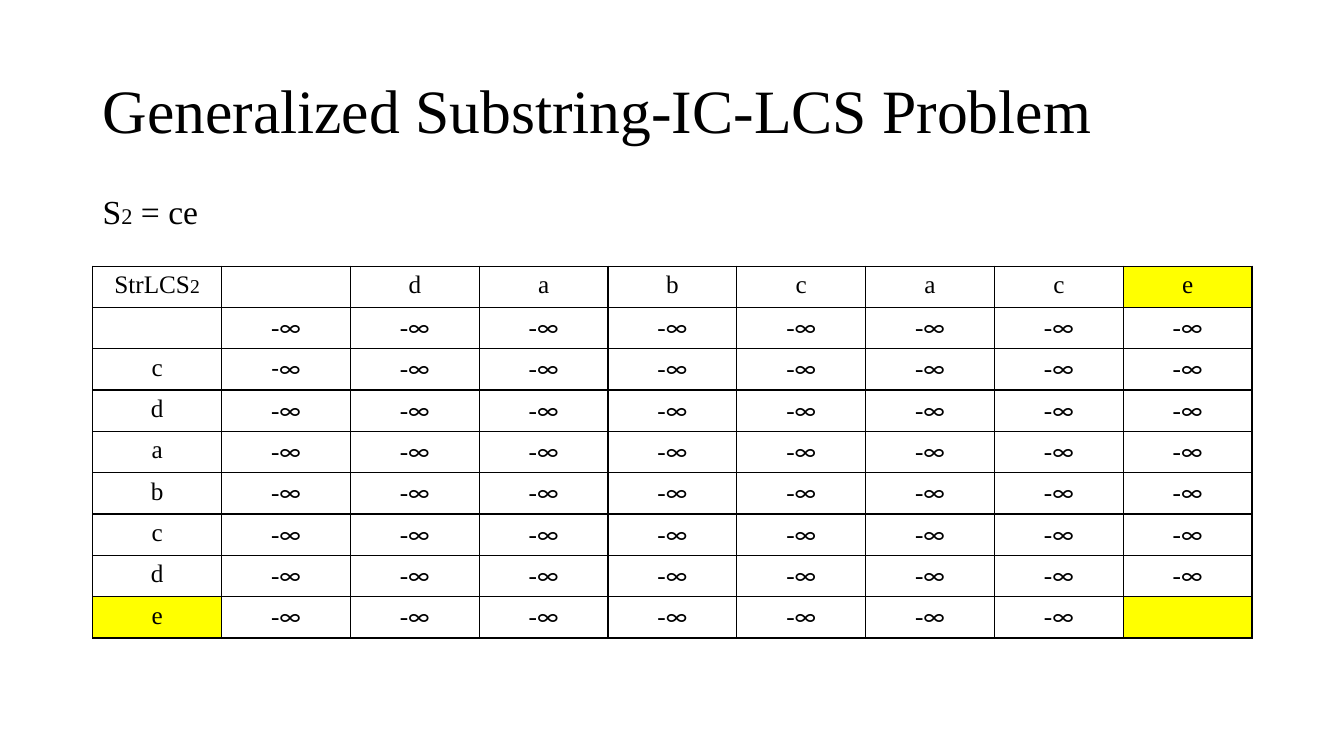
from dataclasses import dataclass

from lxml.etree import SubElement
from pptx import Presentation
from pptx.dml.color import RGBColor
from pptx.enum.text import MSO_ANCHOR, PP_ALIGN
from pptx.oxml.ns import qn
from pptx.util import Inches, Pt


@dataclass(frozen=True)
class Theme:
    face: str = "Times New Roman"
    math: str = "Calibri"
    ink: str = "000000"
    paper: str = "FFFFFF"
    mark: str = "FFFF00"
    title: int = 44
    lead: int = 24
    lead_sub: int = 16
    cell: int = 18
    cell_sub: int = 14
    rule: int = 1


THEME = Theme()
WIDE, HIGH = 13.33, 7.5
LEFT, SPAN = 0.92, 11.5
ROW = 0.41
ACROSS = "dabcace"
DOWN = "cdabcde"
MINUS, INF = "-", "∞"


def write(para, parts, size):
    """Fill a paragraph from (text, size, face) parts; None keeps the default."""
    para.font.size = Pt(size)
    para.font.name = THEME.face
    para.font.color.rgb = RGBColor.from_string(THEME.ink)
    for text, small, face in parts:
        run = para.add_run()
        run.text = text
        if small:
            run.font.size = Pt(small)
        if face:
            run.font.name = face


def add_text(slide, box, parts, size, anchor=MSO_ANCHOR.TOP):
    shape = slide.shapes.add_textbox(*(Inches(n) for n in box))
    frame = shape.text_frame
    frame.word_wrap = True
    frame.vertical_anchor = anchor
    para = frame.paragraphs[0]
    write(para, parts, size)
    return para


def add_rules(cell):
    """Draw all four borders of a cell."""
    props = cell._tc.get_or_add_tcPr()
    for side in ("a:lnL", "a:lnR", "a:lnT", "a:lnB"):
        line = SubElement(props, qn(side), w=str(Pt(THEME.rule)))
        fill = SubElement(line, qn("a:solidFill"))
        SubElement(fill, qn("a:srgbClr"), val=THEME.ink)


def fill_cell(cell, parts, color):
    add_rules(cell)
    cell.fill.solid()
    cell.fill.fore_color.rgb = RGBColor.from_string(color)
    para = cell.text_frame.paragraphs[0]
    para.alignment = PP_ALIGN.CENTER
    write(para, parts, THEME.cell)


def cell_parts(row, col):
    """Row and column 0 hold the letters; 1 stands for the empty prefix."""
    last = len(DOWN) + 1, len(ACROSS) + 1
    if (row, col) == (0, 0):
        return [("StrLCS", None, None), ("2", THEME.cell_sub, None)]
    if (row, col) in ((0, 1), (1, 0), last):
        return []
    if row == 0:
        return [(ACROSS[col - 2], None, None)]
    if col == 0:
        return [(DOWN[row - 2], None, None)]
    if (row, col) == (2, 1):
        return [(MINUS + INF, None, THEME.math)]
    return [(MINUS, None, None), (INF, None, THEME.math)]


def add_grid(slide, top):
    rows, cols = len(DOWN) + 2, len(ACROSS) + 2
    marked = {(0, cols - 1), (rows - 1, 0), (rows - 1, cols - 1)}
    table = slide.shapes.add_table(
        rows, cols, Inches(LEFT), Inches(top), Inches(SPAN), Inches(rows * ROW)
    ).table
    table.first_row = table.horz_banding = False
    for row in range(rows):
        for col in range(cols):
            color = THEME.mark if (row, col) in marked else THEME.paper
            fill_cell(table.cell(row, col), cell_parts(row, col), color)


def main():
    deck = Presentation()
    deck.slide_width, deck.slide_height = Inches(WIDE), Inches(HIGH)
    slide = deck.slides.add_slide(deck.slide_layouts[6])
    title = add_text(
        slide, (LEFT, 0.4, SPAN, 1.45),
        [("Generalized Substring-IC-LCS Problem", None, None)],
        THEME.title, MSO_ANCHOR.MIDDLE,
    )
    title.line_spacing = 0.9
    add_grid(slide, 2.64)
    add_text(
        slide, (LEFT, 1.84, 2.35, 0.5),
        [("S", None, None), ("2", THEME.lead_sub, None), (" = ce", None, None)],
        THEME.lead,
    )
    deck.save("out.pptx")


if __name__ == "__main__":
    main()
